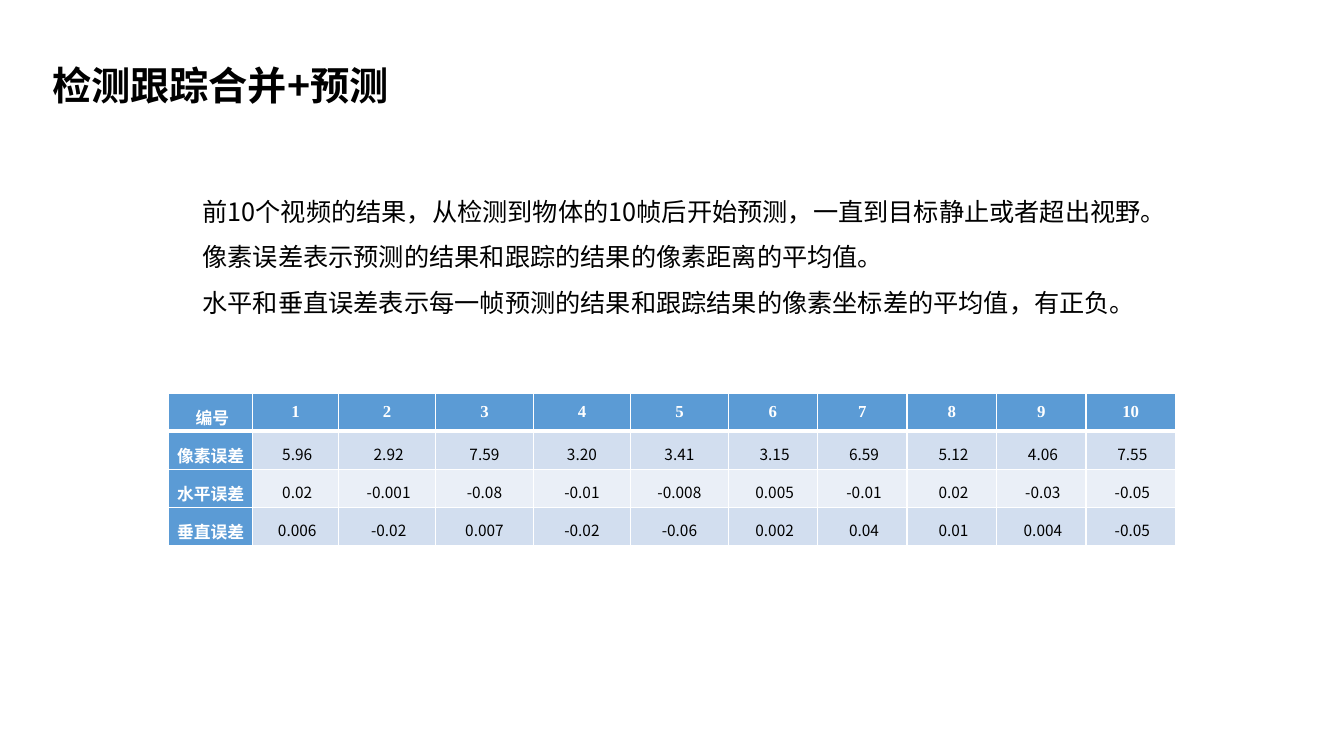
import pptx
import pptx.dml.color
import pptx.enum.text
import pptx.oxml
import pptx.oxml.ns
import pptx.util

COLORS = {
    "text": "000000",
    "white": "FFFFFF",
    "header": "5B9BD5",
    "band_dark": "D2DEEF",
    "band_light": "EAEFF7",
}
SANS = "Noto Sans CJK SC"
SERIF = "Times New Roman"
SLIDE_WIDTH = pptx.util.Inches(13.33)
SLIDE_HEIGHT = pptx.util.Inches(7.5)

TITLE = "检测跟踪合并+预测"
NOTES = [
    "前10个视频的结果，从检测到物体的10帧后开始预测，一直到目标静止或者超出视野。",
    "像素误差表示预测的结果和跟踪的结果的像素距离的平均值。",
    "水平和垂直误差表示每一帧预测的结果和跟踪结果的像素坐标差的平均值，有正负。",
]
ERRORS = [
    ["编号", *map(str, range(1, 11))],
    "像素误差 5.96 2.92 7.59 3.20 3.41 3.15 6.59 5.12 4.06 7.55".split(),
    "水平误差 0.02 -0.001 -0.08 -0.01 -0.008 0.005 -0.01 0.02 -0.03 -0.05".split(),
    "垂直误差 0.006 -0.02 0.007 -0.02 -0.06 0.002 0.04 0.01 0.004 -0.05".split(),
]
COLUMN_WEIGHTS = [0.84, 0.85] + [0.97] * 4 + [0.89] * 5
UNPADDED_COLUMNS = (3, 4, 5)
NO_BREAK_SPACE = chr(160)


def area(left, top, width, height):
    """Turn percentages of the slide's size into lengths."""
    return (int(SLIDE_WIDTH * left / 100), int(SLIDE_HEIGHT * top / 100),
            int(SLIDE_WIDTH * width / 100), int(SLIDE_HEIGHT * height / 100))


def rgb(name):
    return pptx.dml.color.RGBColor.from_string(COLORS[name])


def write(para, text, size, color="text", font=SANS, bold=False, spacing=1.5, align=None):
    para.line_spacing = spacing
    para.alignment = align
    span = para.add_run()
    span.text = text
    span.font.size = pptx.util.Pt(size)
    span.font.name = font
    span.font.bold = bold
    span.font.color.rgb = rgb(color)
    east_asian = pptx.oxml.parse_xml(
        f'<a:ea {pptx.oxml.ns.nsdecls("a")} typeface="{SANS}"/>')
    span.font._element.append(east_asian)


def add_text(page, place, lines, anchor, auto_size, **style):
    frame = page.shapes.add_textbox(*place).text_frame
    frame.word_wrap = True
    frame.vertical_anchor = anchor
    frame.auto_size = auto_size
    for index, line in enumerate(lines):
        para = frame.paragraphs[0] if index == 0 else frame.add_paragraph()
        write(para, line, **style)


def add_borders(cell, bottom):
    for side in "LRTB":
        width = pptx.util.Pt(bottom if side == "B" else 1)
        cell._tc.get_or_add_tcPr().append(pptx.oxml.parse_xml(
            f'<a:ln{side} {pptx.oxml.ns.nsdecls("a")} w="{width}"><a:solidFill>'
            f'<a:srgbClr val="{COLORS["white"]}"/></a:solidFill></a:ln{side}>'))


def fill_cell(cell, text, row, column):
    heading = row == 0 or column == 0
    corner = row == 0 and column == 0
    padded = corner or (not heading and column not in UNPADDED_COLUMNS)
    band = "band_dark" if row % 2 else "band_light"
    cell.margin_left = cell.margin_right = pptx.util.Inches(0.07)
    cell.margin_top = cell.margin_bottom = 0
    add_borders(cell, bottom=3 if row == 0 else 1)
    cell.fill.solid()
    cell.fill.fore_color.rgb = rgb("header" if heading else band)
    write(cell.text_frame.paragraphs[0],
          NO_BREAK_SPACE + text if padded else text,
          size=12 if heading else 11,
          color="white" if heading else "text",
          font=SERIF if heading and not corner else SANS,
          bold=heading,
          align=pptx.enum.text.PP_ALIGN.CENTER)


def add_error_table(page, place):
    table = page.shapes.add_table(len(ERRORS), len(ERRORS[0]), *place).table
    table.first_row = table.horz_banding = False
    for column, weight in zip(table.columns, COLUMN_WEIGHTS):
        column.width = int(place[2] * weight / sum(COLUMN_WEIGHTS))
    for row, values in enumerate(ERRORS):
        for column, text in enumerate(values):
            fill_cell(table.cell(row, column), text, row, column)


def main():
    deck = pptx.Presentation()
    deck.slide_width, deck.slide_height = SLIDE_WIDTH, SLIDE_HEIGHT
    page = deck.slides.add_slide(deck.slide_layouts[6])
    anchors = pptx.enum.text.MSO_ANCHOR
    sizing = pptx.enum.text.MSO_AUTO_SIZE
    add_text(page, area(3.15, 1.6, 37.74, 20.13), [TITLE], anchors.MIDDLE,
             sizing.NONE, size=28, bold=True, spacing=0.9)
    add_error_table(page, area(12.53, 52, 74.94, 20.13))
    add_text(page, area(14.33, 23.33, 73.22, 18.93), NOTES, anchors.TOP,
             sizing.SHAPE_TO_FIT_TEXT, size=18)
    deck.save("out.pptx")


if __name__ == "__main__":
    main()
